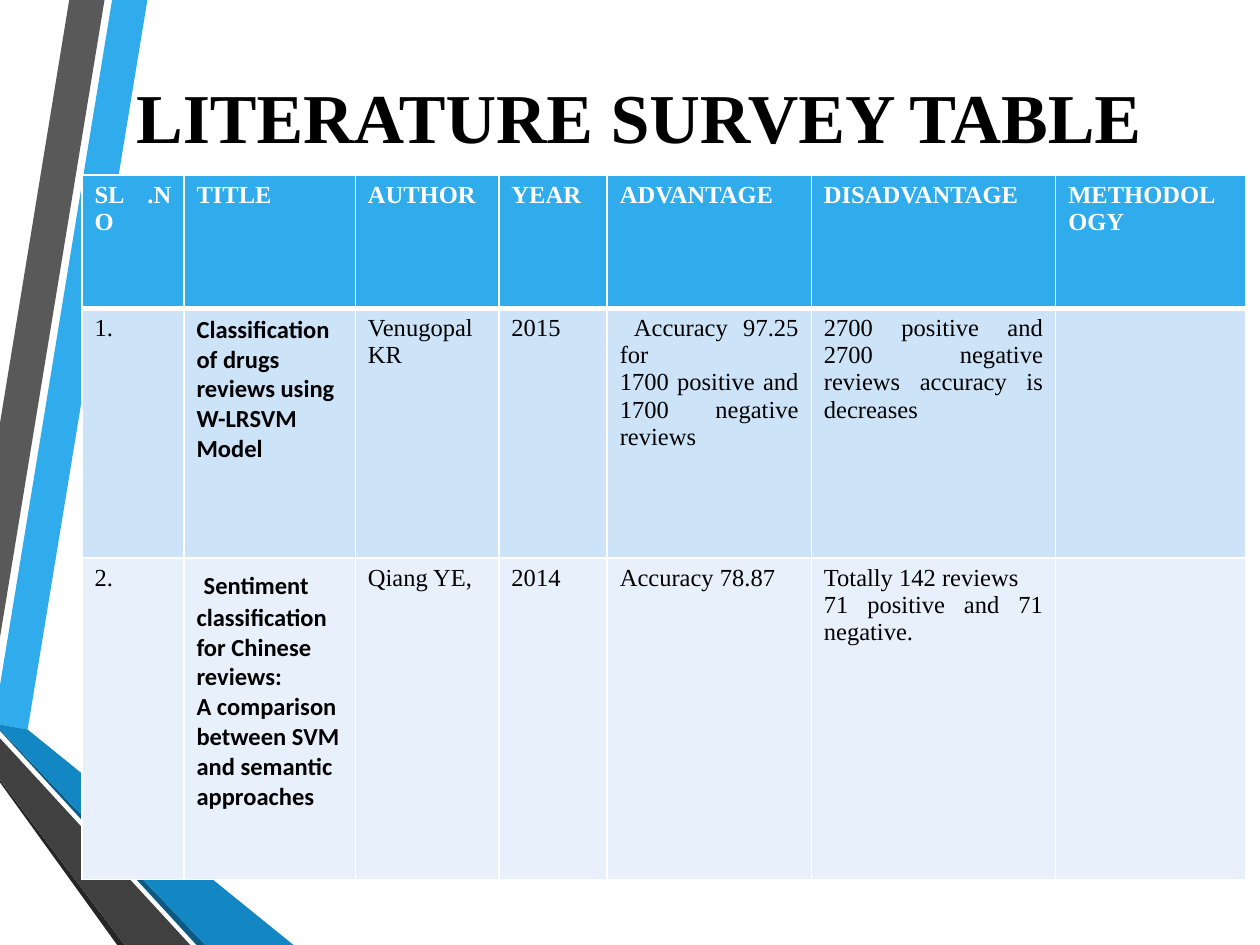
from lxml import etree
from pptx import Presentation
from pptx import util as u
from pptx.dml.color import RGBColor
from pptx.enum import text
from pptx.oxml.ns import qn

WHITE = RGBColor(0xFF, 0xFF, 0xFF)
BLACK = RGBColor(0, 0, 0)
SKY = RGBColor(0x30, 0xAC, 0xEC)
BLUE = RGBColor(0x12, 0x87, 0xC3)
DEEP_BLUE = RGBColor(0x0C, 0x5A, 0x82)
GREY = RGBColor(0x59, 0x59, 0x59)
DARK_GREY = RGBColor(0x40, 0x40, 0x40)
CHARCOAL = RGBColor(0x26, 0x26, 0x26)
ROW_FILLS = [SKY, RGBColor(0xCD, 0xE3, 0xF8), RGBColor(0xE8, 0xF1, 0xFB)]
SERIF, SANS = "Times New Roman", "Calibri"

TITLE = "LITERATURE SURVEY TABLE"
# One list of rows; each cell holds its paragraphs split by line feeds
ROWS = [
    ["SL .NO", "TITLE", "AUTHOR", "YEAR", "ADVANTAGE", "DISADVANTAGE", "METHODOLOGY"],
    ["1.", "Classification of drugs reviews using W-LRSVM Model", "Venugopal KR", "2015",
     " Accuracy 97.25 for\n1700 positive and 1700 negative reviews ",
     "2700 positive and 2700 negative reviews accuracy is decreases", ""],
    ["2.", " Sentiment classification for Chinese reviews:\n"
     "A comparison between SVM and semantic approaches", "Qiang YE,", "2014",
     "Accuracy 78.87", "Totally 142 reviews \n71 positive and 71 negative.", ""],
]
COLUMN_WIDTHS = [0.81, 1.36, 1.14, 0.86, 1.62, 1.94, 1.51]
ROW_HEIGHTS = [1.06, 1.98, 2.55]
TITLE_COLUMN = 1

# Ribbon outlines in inches, back to front
RIBBONS = [
    (SKY, [(0, 5.44), (0, 5.75), (0.22, 5.79), (1.17, 0), (0.89, 0)]),
    (GREY, [(0.83, 0), (0.55, 0), (0, 3.36), (0, 5.06)]),
    (CHARCOAL, [(0, 6.19), (0, 6.21), (0.93, 7.5), (0.99, 7.5)]),
    (DEEP_BLUE, [(0, 5.79), (0, 5.8), (1.56, 7.5), (1.63, 7.5)]),
    (BLUE, [(0, 5.79), (1.63, 7.5), (2.33, 7.5), (0.22, 5.79), (0, 5.75)]),
    (DARK_GREY, [(0, 6.19), (0.99, 7.5), (1.51, 7.5), (0, 5.86)]),
]


def add_ribbon(slide, color, points):
    corners = [(u.Inches(x), u.Inches(y)) for x, y in points]
    builder = slide.shapes.build_freeform(*corners[0])
    builder.add_line_segments(corners[1:], close=True)
    ribbon = builder.convert_to_shape()
    ribbon.shadow.inherit = False
    ribbon.fill.solid()
    ribbon.fill.fore_color.rgb = color
    ribbon.line.fill.background()


def add_borders(cell, top, bottom):
    properties = cell._tc.get_or_add_tcPr()
    for side, points in (("L", 1), ("R", 1), ("T", top), ("B", bottom)):
        line = etree.SubElement(properties, qn(f"a:ln{side}"), w=str(u.Pt(points)))
        fill = etree.SubElement(line, qn("a:solidFill"))
        etree.SubElement(fill, qn("a:srgbClr"), val=str(WHITE))


def fill_cell(cell, content, row, column):
    header = row == 0
    study_title = column == TITLE_COLUMN and not header
    add_borders(cell, top=3 if row == 1 else 1, bottom=3 if header else 1)
    cell.fill.solid()
    cell.fill.fore_color.rgb = ROW_FILLS[row]
    cell.text = content
    for paragraph in cell.text_frame.paragraphs:
        paragraph.alignment = text.PP_ALIGN.LEFT if study_title else text.PP_ALIGN.JUSTIFY
        for target in [paragraph, *paragraph.runs]:
            font = target.font
            font.name = SANS if study_title else SERIF
            font.size = u.Pt(14)
            font.bold = header or study_title
            font.color.rgb = WHITE if header else BLACK


def main():
    presentation = Presentation()
    presentation.slide_width, presentation.slide_height = u.Inches(10), u.Inches(7.5)
    slide = presentation.slides.add_slide(presentation.slide_layouts[5])

    # Ribbons on the left edge
    for color, points in RIBBONS:
        add_ribbon(slide, color, points)

    # Title, in front of the ribbons
    title = slide.shapes.title
    slide.shapes._spTree.append(title._element)
    title.left, title.top = u.Inches(0.57), u.Inches(0.29)
    title.width, title.height = u.Inches(9), u.Inches(1.25)
    title.text_frame.text = TITLE
    title.text_frame.vertical_anchor = text.MSO_ANCHOR.MIDDLE
    paragraph = title.text_frame.paragraphs[0]
    paragraph.alignment = text.PP_ALIGN.CENTER
    paragraph.font.name, paragraph.font.size = SERIF, u.Pt(40)
    paragraph.font.bold = True
    paragraph.font.color.rgb = BLACK

    # Survey table
    table = slide.shapes.add_table(
        len(ROWS), len(COLUMN_WIDTHS), u.Inches(0.65), u.Inches(1.39),
        u.Inches(sum(COLUMN_WIDTHS)), u.Inches(sum(ROW_HEIGHTS))).table
    for column, width in zip(table.columns, COLUMN_WIDTHS):
        column.width = u.Inches(width)
    for row, height in zip(table.rows, ROW_HEIGHTS):
        row.height = u.Inches(height)
    for row, contents in enumerate(ROWS):
        for column, content in enumerate(contents):
            fill_cell(table.cell(row, column), content, row, column)

    # The second study's title opens with a larger space
    opening = table.cell(2, TITLE_COLUMN).text_frame.paragraphs[0]
    sentence = opening.runs[0]
    space = opening.add_run()
    space.text, sentence.text = sentence.text[0], sentence.text[1:]
    space.font.name, space.font.size, space.font.bold = SANS, u.Pt(18), True
    sentence._r.addprevious(space._r)

    presentation.save("out.pptx")


if __name__ == "__main__":
    main()
